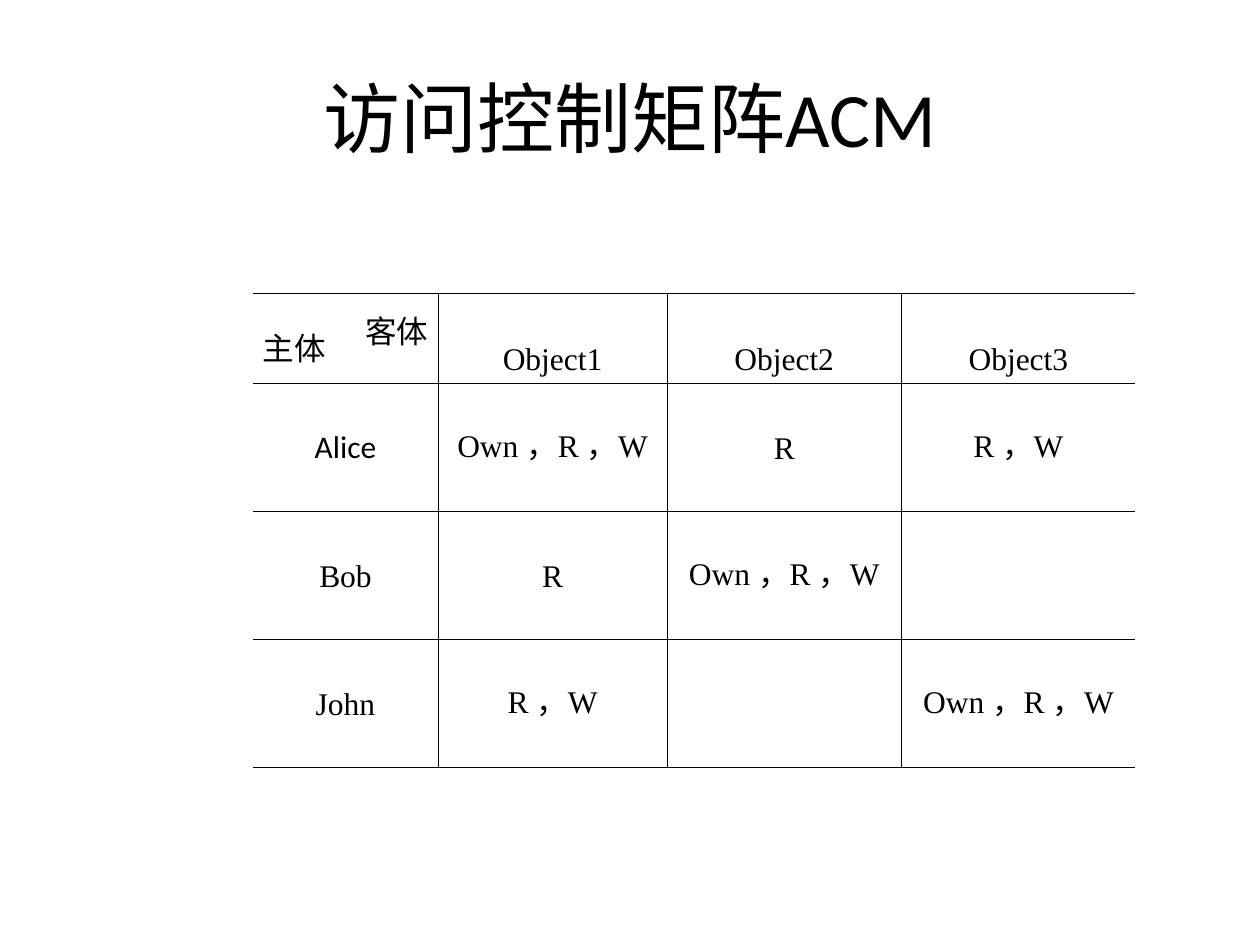
from lxml import etree
from pptx import Presentation
from pptx.dml.color import RGBColor
from pptx.enum.text import MSO_ANCHOR, PP_ALIGN
from pptx.oxml.ns import qn
from pptx.util import Cm, Pt

LEFT, CENTER, RIGHT = PP_ALIGN.LEFT, PP_ALIGN.CENTER, PP_ALIGN.RIGHT
MIDDLE, TOP = MSO_ANCHOR.MIDDLE, MSO_ANCHOR.TOP
BLACK = RGBColor(0, 0, 0)
SANS, SERIF = "Calibri", "Times New Roman"
THIN, THICK = Pt(0.45), Pt(0.75)

SUBJECTS_AXIS, OBJECTS_AXIS = "主体", "客体"
OWNER, READ_WRITE, READ = "Own ，R ，W", "R ，W", "R"
OBJECTS = ["Object1", "Object2", "Object3"]
RIGHTS = {
    "Alice": [OWNER, READ, READ_WRITE],
    "Bob": [READ, OWNER, ""],
    "John": [READ_WRITE, "", OWNER],
}


class MatrixSlide:
    """Holds the text style and the slide being filled."""

    def __init__(self, slide):
        self.slide = slide
        self.size = Pt(18)

    def add_run(self, paragraph, text, font=SERIF, size=None):
        run = paragraph.add_run()
        run.text = text
        run.font.name = font
        run.font.size = size or self.size
        run.font.bold = False
        run.font.color.rgb = BLACK

    def title(self, text):
        heading = self.slide.shapes.title
        heading.left, heading.top = Cm(1.27), Cm(0.76)
        heading.width, heading.height = Cm(22.86), Cm(3.18)
        frame = heading.text_frame
        frame.vertical_anchor = MIDDLE
        frame.paragraphs[0].alignment = CENTER
        self.add_run(frame.paragraphs[0], text, SANS, Pt(44))

    def table(self, left, top, widths, heights):
        matrix = self.slide.shapes.add_table(
            len(heights), len(widths), left, top, sum(widths), sum(heights)
        ).table
        matrix.first_row = matrix.horz_banding = False
        for column, width in zip(matrix.columns, widths):
            column.width = width
        for row, height in zip(matrix.rows, heights):
            row.height = height
        for r in range(len(heights)):
            for c in range(len(widths)):
                cell = matrix.cell(r, c)
                self.borders(
                    cell,
                    L=THIN if c else None,
                    R=THIN if c < len(widths) - 1 else None,
                    T=THIN if r else THICK,
                    B=THIN if r < len(heights) - 1 else THICK,
                )
                cell.fill.background()
        return matrix

    def borders(self, cell, **sides):
        properties = cell._tc.get_or_add_tcPr()
        for side, width in sides.items():
            line = etree.SubElement(properties, qn(f"a:ln{side}"))
            if width is None:
                etree.SubElement(line, qn("a:noFill"))
                continue
            line.set("w", str(width))
            fill = etree.SubElement(line, qn("a:solidFill"))
            etree.SubElement(fill, qn("a:srgbClr")).set("val", str(BLACK))

    def cell_text(self, cell, lines, spacing, margin_top, font=SERIF):
        cell.margin_left = cell.margin_right = Cm(0.2)
        cell.margin_top, cell.margin_bottom = margin_top, Cm(0.13)
        cell.vertical_anchor = TOP
        frame = cell.text_frame
        for i, (text, alignment) in enumerate(lines):
            paragraph = frame.add_paragraph() if i else frame.paragraphs[0]
            paragraph.alignment = alignment
            paragraph.line_spacing = spacing
            self.add_run(paragraph, text, font)


def main():
    deck = Presentation()
    deck.slide_width, deck.slide_height = Cm(25.4), Cm(19.05)
    page = MatrixSlide(deck.slides.add_slide(deck.slide_layouts[5]))
    page.title("访问控制矩阵ACM")

    widths = [Cm(3.73), Cm(4.62), Cm(4.72), Cm(4.72)]
    heights = [Cm(1.55)] + [Cm(2.34)] * len(RIGHTS)
    matrix = page.table(Cm(5.1), Cm(5.92), widths, heights)

    axes = [(OBJECTS_AXIS, RIGHT), (SUBJECTS_AXIS, LEFT)]
    page.cell_text(matrix.cell(0, 0), axes, Pt(10), Cm(0.83))
    rows = [[""] + OBJECTS] + [[name] + held for name, held in RIGHTS.items()]
    for r, row in enumerate(rows):
        for c, text in enumerate(row):
            if text:
                font = SANS if text == "Alice" else SERIF
                page.cell_text(matrix.cell(r, c), [(text, CENTER)], Pt(22), Cm(0.9), font)

    deck.save("out.pptx")


if __name__ == "__main__":
    main()
